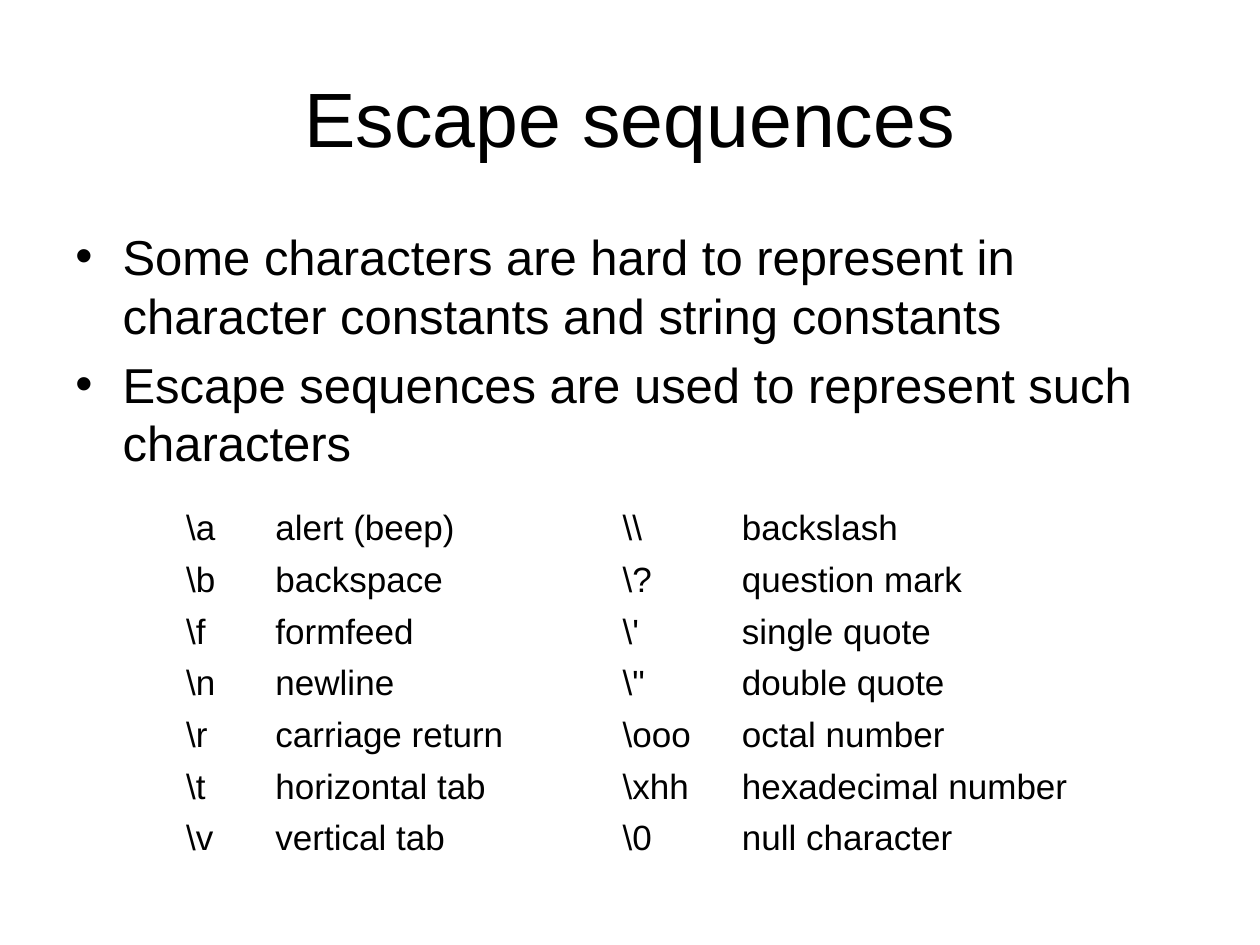
"""Build the slide on escape sequences."""
from lxml import etree
from pptx import Presentation
from pptx import util as u
from pptx.dml.color import RGBColor
from pptx.enum import text
from pptx.oxml.ns import qn

TITLE = "Escape sequences"
POINTS = [
    "Some characters are hard to represent in character constants and string constants",
    "Escape sequences are used to represent such characters",
]
ESCAPES = [
    (r"\a", "alert (beep)", "\\\\", "backslash"),
    (r"\b", "backspace", r"\?", "question mark"),
    (r"\f", "formfeed", r"\'", "single quote"),
    (r"\n", "newline", r'\"', "double quote"),
    (r"\r", "carriage return", r"\ooo", "octal number"),
    (r"\t", "horizontal tab", r"\xhh", "hexadecimal number"),
    (r"\v", "vertical tab", r"\0", "null character"),
]
COLUMN_WIDTHS = (51, 198.4, 68.2, 215)
ROW_HEIGHT = 29.55
INDENT = 27


def color(value):
    return RGBColor.from_string(value)


def write(para, words, size):
    span = para.add_run()
    span.text = words
    span.font.name = "Arial"
    span.font.size = u.Pt(size)
    span.font.color.rgb = color("000000")


def add_box(page, top, height, anchor):
    box = page.shapes.add_textbox(u.Pt(36), u.Pt(top), u.Pt(648), u.Pt(height))
    box.text_frame.word_wrap = True
    box.text_frame.vertical_anchor = anchor
    return box.text_frame


def add_bullet(para):
    properties = para._p.get_or_add_pPr()
    properties.set("marL", str(u.Pt(INDENT)))
    properties.set("indent", str(-u.Pt(INDENT)))
    etree.SubElement(properties, qn("a:buFont")).set("typeface", "Arial")
    etree.SubElement(properties, qn("a:buChar")).set("char", "•")


deck = Presentation()
deck.slide_width, deck.slide_height = u.Pt(720), u.Pt(540)
page = deck.slides.add_slide(deck.slide_layouts[6])
page.background.fill.solid()
page.background.fill.fore_color.rgb = color("FFFFFF")

para = add_box(page, 21.6, 90, text.MSO_ANCHOR.MIDDLE).paragraphs[0]
para.alignment = text.PP_ALIGN.CENTER
write(para, TITLE, 44)

body = add_box(page, 126, 155.5, text.MSO_ANCHOR.TOP)
for index, point in enumerate(POINTS):
    para = body.add_paragraph() if index else body.paragraphs[0]
    para.space_before = u.Pt(5.6)
    add_bullet(para)
    write(para, point, 28)

frame = page.shapes.add_table(
    len(ESCAPES), len(COLUMN_WIDTHS), u.Pt(99.2), u.Pt(287.3),
    u.Pt(sum(COLUMN_WIDTHS)), u.Pt(ROW_HEIGHT * len(ESCAPES)))
table = frame.table
table.first_row = table.horz_banding = False
table._tbl.tblPr.find(qn("a:tableStyleId")).text = "{2D5ABB26-0587-4C30-8999-92F81FD0307C}"
for column, width in zip(table.columns, COLUMN_WIDTHS):
    column.width = u.Pt(width)
for row, entries in zip(table.rows, ESCAPES):
    row.height = u.Pt(ROW_HEIGHT)
    for cell, entry in zip(row.cells, entries):
        cell.fill.background()
        cell.margin_bottom = u.Pt(1.8)
        write(cell.text_frame.paragraphs[0], entry, 20)

deck.save("out.pptx")
